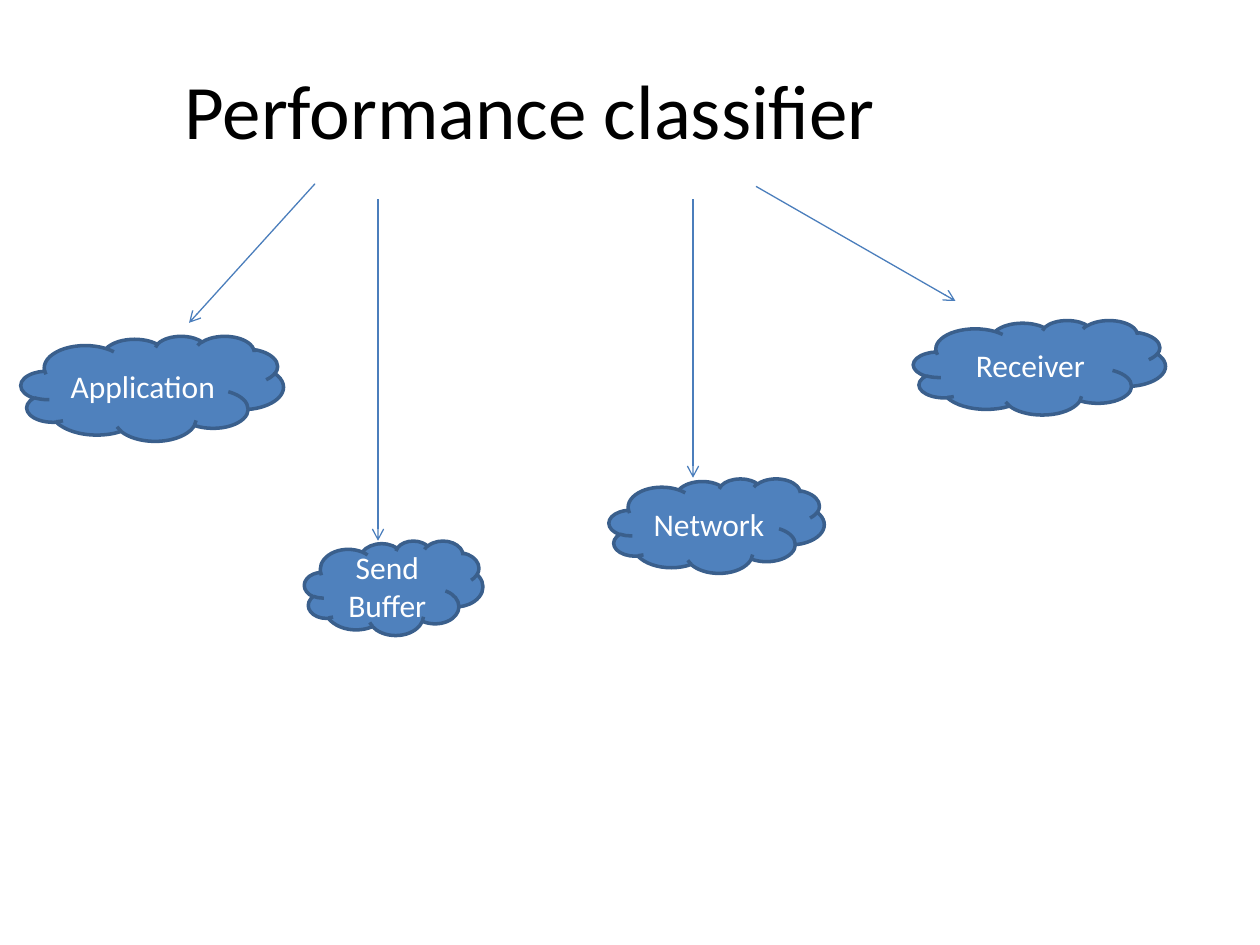
from lxml.etree import SubElement
from pptx import Presentation
from pptx.dml.color import RGBColor
from pptx.enum.shapes import MSO_CONNECTOR as Connector, MSO_SHAPE as Shape
from pptx.enum.text import MSO_ANCHOR as Anchor, PP_ALIGN as Align
from pptx.oxml.ns import qn
from pptx.util import Pt

BLACK = RGBColor(0x00, 0x00, 0x00)
WHITE = RGBColor(0xFF, 0xFF, 0xFF)
CLOUD_BLUE = RGBColor(0x4F, 0x81, 0xBD)
OUTLINE_BLUE = RGBColor(0x3A, 0x5F, 0x8C)
ARROW_BLUE = RGBColor(0x4B, 0x7E, 0xBC)

TITLE_FONT = {"name": "Calibri", "size": Pt(44)}
LABEL_FONT = {"name": "Calibri", "size": Pt(18)}

# Start and end of each arrow: x1, y1, x2, y2
ARROWS = [
    (180, 105, 108, 184.5),
    (216, 114, 216, 309),
    (396, 114, 396, 273),
    (432, 106.5, 546, 172),
]
# Label, then left, top, width, height
CLASSES = [
    ("Application", (12, 192, 150, 60)),
    ("Send Buffer", (174, 309, 102, 54)),
    ("Network", (348, 273.5, 123, 54)),
    ("Receiver", (522, 183, 144, 54)),
]


def write_text(shape, text, font_values, color):
    frame = shape.text_frame
    frame.word_wrap = True
    frame.vertical_anchor = Anchor.MIDDLE
    paragraph = frame.paragraphs[0]
    paragraph.alignment = Align.CENTER
    run = paragraph.add_run()
    run.text = text
    for attribute, value in font_values.items():
        setattr(run.font, attribute, value)
    run.font.color.rgb = color


def set_title(slide, text):
    title = slide.shapes.title
    title.left, title.top, title.width, title.height = map(Pt, (36, 21.6, 534, 81))
    write_text(title, text, TITLE_FONT, BLACK)


def add_arrow(slide, ends):
    arrow = slide.shapes.add_connector(Connector.STRAIGHT, *map(Pt, ends))
    arrow.line.color.rgb = ARROW_BLUE
    arrow.line.width = Pt(0.75)
    # Open arrowhead at the end, no shadow
    SubElement(arrow.line._get_or_add_ln(), qn("a:tailEnd"), type="arrow")
    SubElement(arrow._element.spPr, qn("a:effectLst"))


def add_cloud(slide, label, box):
    cloud = slide.shapes.add_shape(Shape.CLOUD, *map(Pt, box))
    cloud.shadow.inherit = False
    cloud.fill.solid()
    cloud.fill.fore_color.rgb = CLOUD_BLUE
    cloud.line.color.rgb = OUTLINE_BLUE
    cloud.line.width = Pt(2)
    write_text(cloud, label, LABEL_FONT, WHITE)


def main():
    deck = Presentation()
    deck.slide_width, deck.slide_height = Pt(720), Pt(540)
    slide = deck.slides.add_slide(deck.slide_layouts.get_by_name("Title Only"))

    set_title(slide, "Performance classifier")
    # Arrows from the classifier to its classes
    for ends in ARROWS:
        add_arrow(slide, ends)
    # Classes
    for label, box in CLASSES:
        add_cloud(slide, label, box)

    deck.save("out.pptx")


if __name__ == "__main__":
    main()
